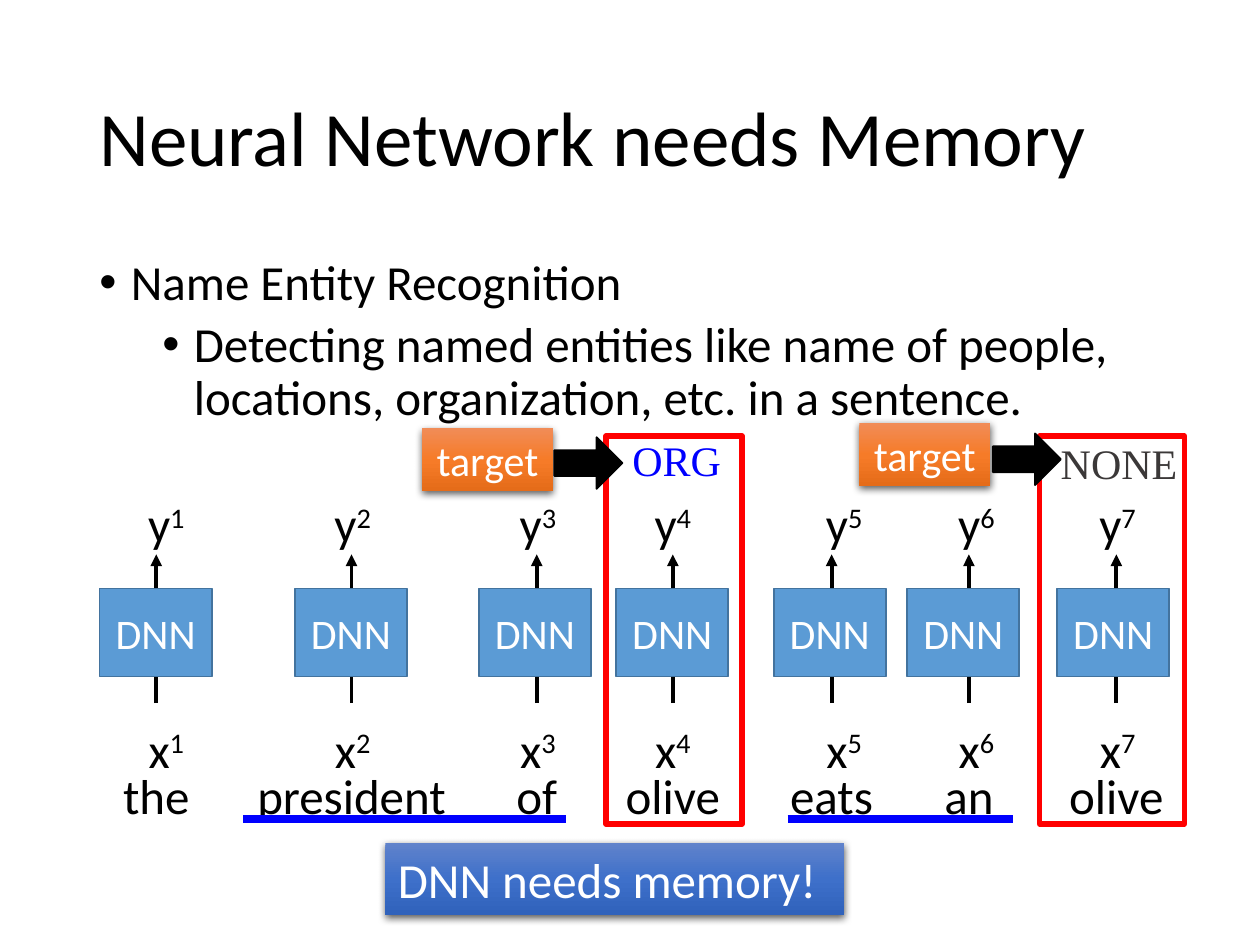
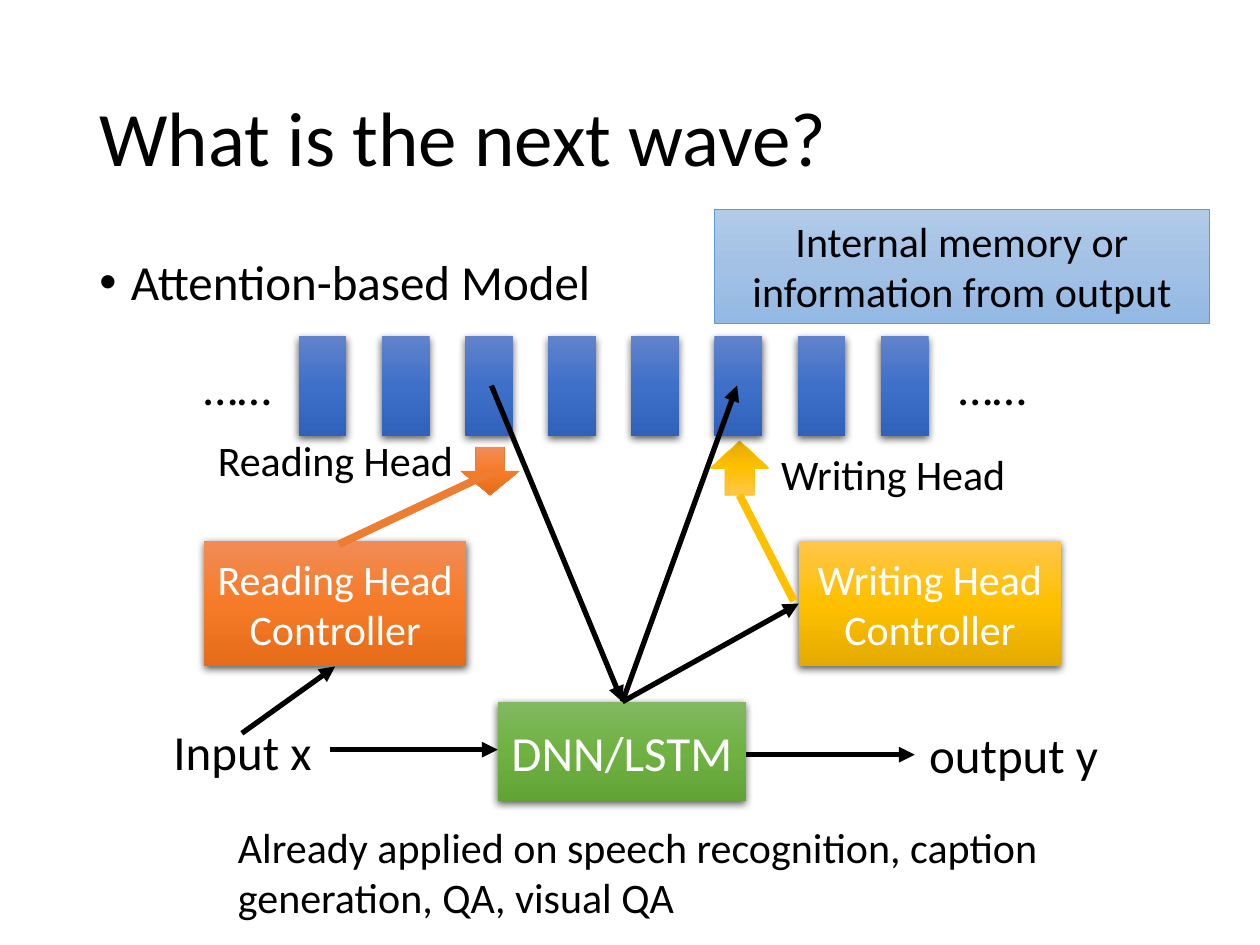
from lxml import etree
from pptx import Presentation
from pptx.dml.color import RGBColor
from pptx.enum.shapes import MSO_CONNECTOR, MSO_SHAPE
from pptx.enum.text import MSO_ANCHOR, PP_ALIGN
from pptx.oxml.ns import qn
from pptx.util import Inches, Pt

LEFT, CENTER, RIGHT = PP_ALIGN.LEFT, PP_ALIGN.CENTER, PP_ALIGN.RIGHT
TOP, MIDDLE = MSO_ANCHOR.TOP, MSO_ANCHOR.MIDDLE
RECT, DOWN, POINTER = MSO_SHAPE.RECTANGLE, MSO_SHAPE.DOWN_ARROW, MSO_SHAPE.RIGHT_ARROW
STRAIGHT = MSO_CONNECTOR.STRAIGHT

COLORS = {
    "black": "000000", "white": "FFFFFF", "gray": "3B3838",
    "red": "FF0000", "blue": "0000FF",
    "cell": "5B9BD5", "cell edge": "43739E",
    "orange": "ED7D31", "gold": "FFC000",
}
GRADIENTS = {
    "royal": ("6183CB", "3E70CA", "3062BB"),
    "orange": ("F18C57", "F67B28", "E56C19"),
    "gold": ("FFC64B", "FFC000", "E3AB00"),
    "green": ("81B861", "6FB242", "62A336"),
    "sky": ("B1CBE9", "A3C1E5", "93B9E4"),
}
TITLE_AREA = (0.69, 0.4, 8.62, 1.45)
BODY_AREA = (0.69, 2, 8.62, 4.76)

# Slide 1
MEMORY_TITLE = "Neural Network needs Memory"
MEMORY_BULLETS = [
    (0, "Name Entity Recognition"),
    (1, "Detecting named entities like name of people, "
        "locations, organization, etc. in a sentence."),
]
# word, arrow x, centre of the x and y labels, left of the network box
STEPS = [
    ("the", 1.24, 1.32, 0.79),
    ("president", 2.79, 2.8, 2.34),
    ("of", 4.26, 4.27, 3.8),
    ("olive", 5.34, 5.34, 4.89),
    ("eats", 6.6, 6.7, 6.14),
    ("an", 7.69, 7.75, 7.2),
    ("olive", 8.86, 8.87, 8.39),
]
UNDERLINES = [(1.93, 4.49), (6.25, 8.04)]
# tag, its colour, tag area, frame (left, width), target (left, top), pointer (left, top)
TARGETS = [
    ("ORG", "blue", (4.92, 3.4, 0.91, 0.51), (4.81, 1.08), (3.35, 3.4), (4.4, 3.47)),
    ("NONE", "gray", (8.32, 3.42, 1.13, 0.51), (8.25, 1.15), (6.82, 3.36), (7.88, 3.44)),
]
CONCLUSION = "DNN needs memory!"

# Slide 2
WAVE_TITLE = "What is the next wave?"
WAVE_BULLETS = [(0, "Attention-based Model")]
MEMORY_CELLS = {"count": 8, "left": 2.37, "pitch": 0.66}
BLOCKS = [
    ("Reading Head Controller", (1.62, 4.29, 2.08, 1), "orange", 24),
    ("Writing Head Controller", (6.34, 4.29, 2.08, 1), "gold", 24),
    ("DNN/LSTM", (3.95, 5.57, 1.97, 0.79), "green", 28),
]
# area, colour, rotation
HEADS = [
    ((5.64, 3.5, 0.46, 0.43), "gold", 180),
    ((3.66, 3.55, 0.46, 0.38), "orange", 0),
]
WAVE_LABELS = [
    ("Input x", (1.06, 5.68, 1.73, 0.57), 28, CENTER),
    ("output y", (7.18, 5.7, 1.73, 0.57), 28, CENTER),
    ("Reading Head", (1.63, 3.4, 2.31, 0.5), 24, LEFT),
    ("Writing Head", (6.1, 3.51, 2.31, 0.5), 24, LEFT),
    ("……", (0.52, 2.78, 1.73, 0.57), 28, RIGHT),
    ("……", (7.51, 2.78, 1.73, 0.57), 28, LEFT),
    ("Already applied on speech recognition, caption generation, QA, visual QA",
     (1.79, 6.47, 7.09, 0.91), 24, LEFT),
]
MEMORY_NOTE = ("Internal memory or information from output", (5.67, 1.66, 3.93, 0.91))
HEAD_LINKS = [
    ((2.69, 4.32), (3.92, 3.74), "orange"),
    ((6.3, 4.77), (5.87, 3.93), "gold"),
]
NETWORK_TOP = (4.94, 5.57)
FLOWS = [
    ((1.92, 5.82), (2.66, 5.29)),
    ((2.62, 5.95), (3.95, 5.95)),
    (NETWORK_TOP, (6.34, 4.79)),
    ((5.92, 5.99), (7.26, 5.99)),
    (NETWORK_TOP, (5.85, 3.06)),
    ((3.9, 3.06), NETWORK_TOP),
]


def rgb(name):
    return RGBColor.from_string(COLORS[name])


def set_font(font, size, color, face="Calibri"):
    for key, value in {"size": Pt(size), "name": face}.items():
        setattr(font, key, value)
    font.color.rgb = rgb(color)


def write(shape, text, size=24, color="black", align=CENTER, anchor=TOP,
          wrap=True, face="Calibri", power=None):
    """Fill a shape with one paragraph; power is an optional superscript."""
    frame = shape.text_frame
    for key, value in {"word_wrap": wrap, "vertical_anchor": anchor}.items():
        setattr(frame, key, value)
    paragraph = frame.paragraphs[0]
    paragraph.alignment = align
    for part in (text, power):
        if part:
            run = paragraph.add_run()
            run.text = part
            set_font(run.font, size, color, face)
            if part == power:
                run.font._element.set("baseline", "30000")


def add_text(slide, area, text, **style):
    box = slide.shapes.add_textbox(*map(Inches, area))
    write(box, text, **style)
    return box


def add_block(slide, area, kind=RECT, fill=None, gradient=None, edge=None,
              edge_width=1, shadow=False):
    block = slide.shapes.add_shape(kind, *map(Inches, area))
    block.shadow.inherit = False
    if gradient:
        paint_gradient(block, GRADIENTS[gradient])
    elif fill:
        block.fill.solid()
        block.fill.fore_color.rgb = rgb(fill)
    else:
        block.fill.background()
    if edge:
        block.line.color.rgb = rgb(edge)
        block.line.width = Pt(edge_width)
    else:
        block.line.fill.background()
    if shadow:
        cast_shadow(block)
    return block


def paint_gradient(block, stops):
    block.fill.gradient()
    block.fill.gradient_angle = 270
    stop_list = block._element.spPr.find(qn("a:gradFill")).find(qn("a:gsLst"))
    for old in list(stop_list):
        stop_list.remove(old)
    for i, color in enumerate(stops):
        stop = etree.SubElement(stop_list, qn("a:gs"), pos=str(i * 50000))
        etree.SubElement(stop, qn("a:srgbClr"), val=color)


def cast_shadow(block):
    effects = block._element.spPr.find(qn("a:effectLst"))
    outer = etree.SubElement(effects, qn("a:outerShdw"), blurRad=str(Pt(4.5)),
                             dist=str(Pt(1.5)), dir="5400000", algn="ctr", rotWithShape="0")
    color = etree.SubElement(outer, qn("a:srgbClr"), val=COLORS["black"])
    etree.SubElement(color, qn("a:alpha"), val="63000")


def add_line(slide, start, end, color="black", width=3, arrow=False):
    line = slide.shapes.add_connector(STRAIGHT, *map(Inches, start + end))
    line.line.color.rgb = rgb(color)
    line.line.width = Pt(width)
    if arrow:
        etree.SubElement(line.line._get_or_add_ln(), qn("a:tailEnd"), type="triangle")
    etree.SubElement(line._element.spPr, qn("a:effectLst"))


def start_slide(deck, title, bullets):
    slide = deck.slides.add_slide(deck.slide_layouts[6])
    heading = add_text(slide, TITLE_AREA, title, size=44, align=LEFT, anchor=MIDDLE)
    heading.text_frame.paragraphs[0].line_spacing = 0.9
    frame = slide.shapes.add_textbox(*map(Inches, BODY_AREA)).text_frame
    frame.word_wrap = True
    for i, (level, text) in enumerate(bullets):
        paragraph = frame.add_paragraph() if i else frame.paragraphs[0]
        props = paragraph._p.get_or_add_pPr()
        props.set("marL", str(Inches(0.25 + 0.5 * level)))
        props.set("indent", str(Inches(-0.25)))
        etree.SubElement(props, qn("a:buFont"), typeface="Arial")
        etree.SubElement(props, qn("a:buChar"), char="•")
        paragraph.level = level
        paragraph.line_spacing = 0.9
        if i:
            paragraph.space_before = Pt(5)
        run = paragraph.add_run()
        run.text = text
        set_font(run.font, 28, "black")
    return slide


def build_memory_slide(deck):
    slide = start_slide(deck, MEMORY_TITLE, MEMORY_BULLETS)
    for number, (word, axis, label_center, box_left) in enumerate(STEPS, 1):
        add_line(slide, (axis, 5.58), (axis, 4.4), width=2.25, arrow=True)
        for letter, top in (("x", 5.66), ("y", 3.87)):
            add_text(slide, (label_center - 0.42, top, 0.84, 0.57), letter,
                     size=28, power=str(number))
        add_text(slide, (axis - 0.9, 6.03, 1.8, 0.57), word, size=28)
        network = add_block(slide, (box_left, 4.67, 0.89, 0.7), fill="cell", edge="cell edge")
        write(network, "DNN", color="white", anchor=MIDDLE)
    for tag, color, tag_area, (left, width), target_at, pointer_at in TARGETS:
        add_text(slide, tag_area, tag, color=color, align=LEFT, wrap=False,
                 face="Times New Roman")
        add_block(slide, (left, 3.46, width, 3.08), edge="red", edge_width=3)
        target = add_block(slide, target_at + (1.04, 0.5), gradient="orange", shadow=True)
        write(target, "target", color="white")
        add_block(slide, pointer_at + (0.54, 0.41), POINTER, fill="black", edge="black")
    conclusion = add_block(slide, (3.06, 6.69, 3.64, 0.57), gradient="royal", shadow=True)
    write(conclusion, CONCLUSION, size=28, color="white", align=LEFT)
    for left, right in UNDERLINES:
        add_line(slide, (left, 6.5), (right, 6.5), "blue", 4.5)


def build_wave_slide(deck):
    slide = start_slide(deck, WAVE_TITLE, WAVE_BULLETS)
    for text, area, gradient, size in BLOCKS:
        block = add_block(slide, area, gradient=gradient, shadow=True)
        write(block, text, size=size, color="white", anchor=MIDDLE)
    for area, color, rotation in HEADS:
        head = add_block(slide, area, DOWN, gradient=color, edge=color, edge_width=0.5)
        head.rotation = rotation
    for text, area, size, align in WAVE_LABELS:
        add_text(slide, area, text, size=size, align=align)
    for i in range(MEMORY_CELLS["count"]):
        left = MEMORY_CELLS["left"] + i * MEMORY_CELLS["pitch"]
        add_block(slide, (left, 2.67, 0.38, 0.79), gradient="royal", shadow=True)
    note, note_area = MEMORY_NOTE
    write(add_block(slide, note_area, gradient="sky", edge="cell", edge_width=0.5), note)
    for start, end, color in HEAD_LINKS:
        add_line(slide, start, end, color, 4.5)
    for start, end in FLOWS:
        add_line(slide, start, end, arrow=True)


def main():
    deck = Presentation()
    deck.slide_width, deck.slide_height = Inches(10), Inches(7.5)
    build_memory_slide(deck)
    build_wave_slide(deck)
    deck.save("out.pptx")


if __name__ == "__main__":
    main()
